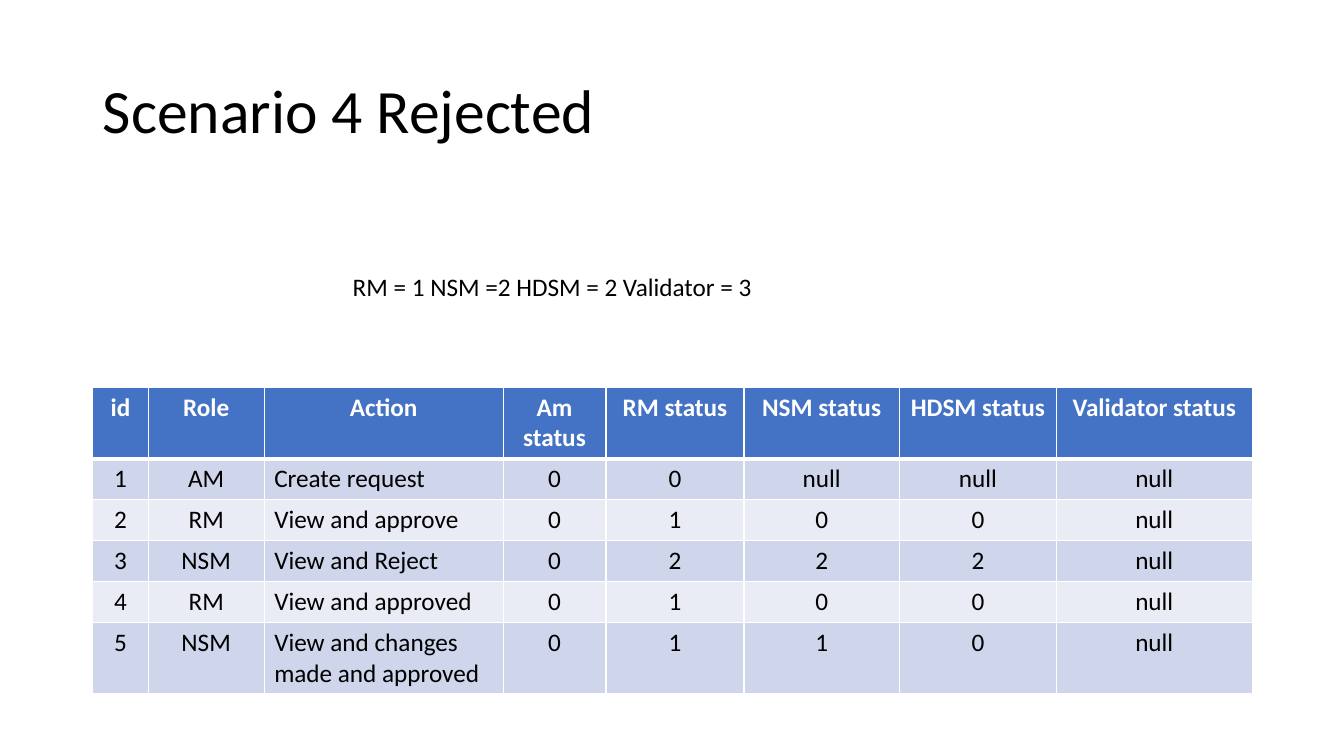
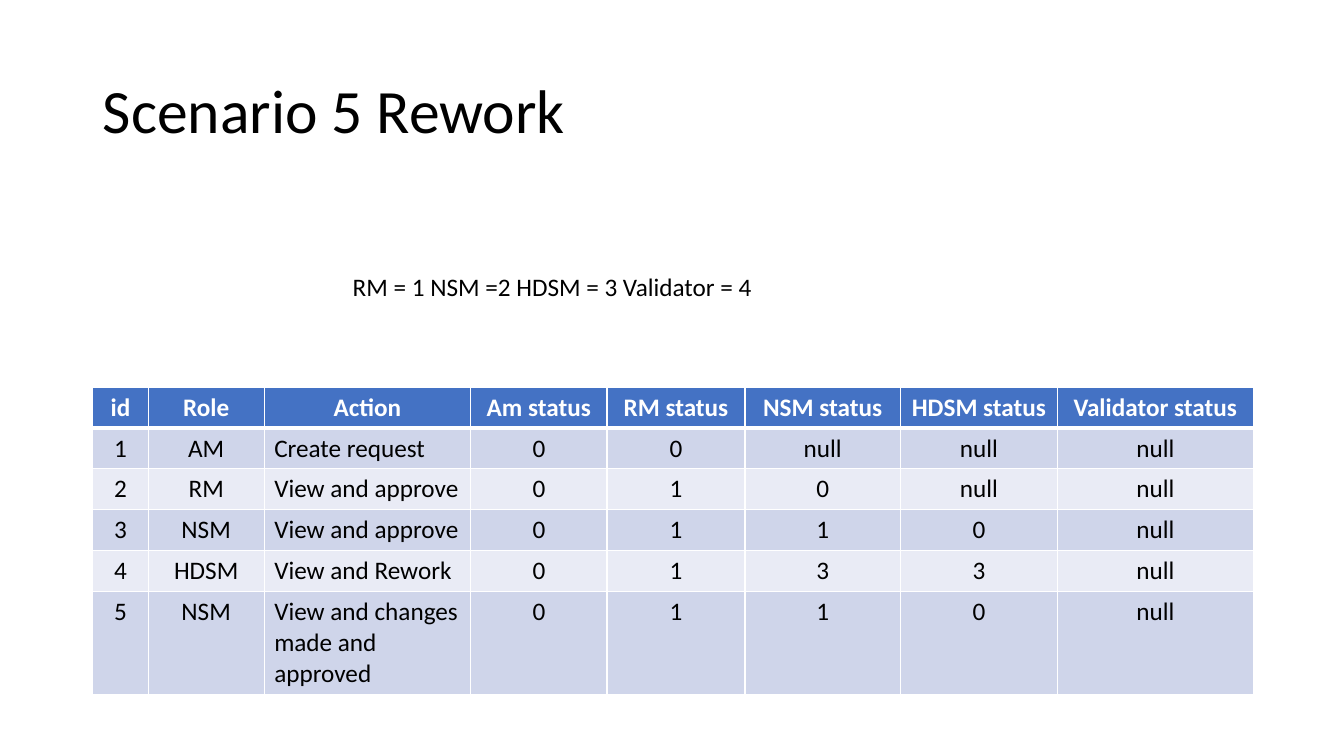
from lxml import etree
from pptx import Presentation
from pptx.dml.color import RGBColor
from pptx.enum import text
from pptx.oxml.ns import qn
from pptx.util import Inches, Pt

COLORS = {"text": "000000", "white": "FFFFFF", "header": "4472C4",
          "band_dark": "CFD5EA", "band_light": "E9EBF5"}
FONT = "Calibri"

TITLE_BOX = (0.92, 0.4, 11.5, 1.45)
LEGEND_BOX = (3.4, 2.64, 4.21, 0.4)
TABLE_BOX = (0.92, 3.84, 11.5, 3.02)
ROW_HEIGHT, EXTRA_LINE = 0.4, 0.31

HEADERS = ["id", "Role", "Action", "Am status", "RM status", "NSM status",
           "HDSM status", "Validator status"]
ACTION_COL = HEADERS.index("Action")

# "lines" is the number of text lines in each table row, header first
SCENARIOS = [
    {"title": "Scenario 4 Rejected",
     "legend": "RM = 1 NSM =2 HDSM = 2 Validator = 3",
     "widths": [0.55, 1.15, 2.37, 1.02, 1.37, 1.54, 1.56, 1.94],
     "lines": [2, 1, 1, 1, 1, 2],
     "rows": [
         ["AM", "Create request", "0", "0", "null", "null", "null"],
         ["RM", "View and approve", "0", "1", "0", "0", "null"],
         ["NSM", "View and Reject", "0", "2", "2", "2", "null"],
         ["RM", "View and approved", "0", "1", "0", "0", "null"],
         ["NSM", "View and changes made and approved",
          "0", "1", "1", "0", "null"]]},
    {"title": "Scenario 5 Rework",
     "legend": "RM = 1 NSM =2 HDSM = 3 Validator = 4",
     "widths": [0.55, 1.15, 2.05, 1.35, 1.37, 1.54, 1.56, 1.94],
     "lines": [1, 1, 1, 1, 1, 3],
     "rows": [
         ["AM", "Create request", "0", "0", "null", "null", "null"],
         ["RM", "View and approve", "0", "1", "0", "null", "null"],
         ["NSM", "View and approve", "0", "1", "1", "0", "null"],
         ["HDSM", "View and Rework", "0", "1", "3", "3", "null"],
         ["NSM", "View and changes made and approved",
          "0", "1", "1", "0", "null"]]},
]


def rgb(name):
    return RGBColor.from_string(COLORS[name])


def set_text(tf, content, size, color="text", bold=False,
             align=text.PP_ALIGN.LEFT):
    tf.text = content
    p = tf.paragraphs[0]
    p.alignment = align
    font = p.runs[0].font
    font.name, font.size, font.bold = FONT, Pt(size), bold
    font.color.rgb = rgb(color)
    return p


def set_borders(cell, bottom):
    """White cell borders of 1 pt, with the given width below."""
    tc_pr = cell._tc.get_or_add_tcPr()
    for side, width in (("L", 1), ("R", 1), ("T", 1), ("B", bottom)):
        ln = etree.SubElement(tc_pr, qn(f"a:ln{side}"), w=str(Pt(width)))
        fill = etree.SubElement(ln, qn("a:solidFill"))
        etree.SubElement(fill, qn("a:srgbClr"), val=COLORS["white"])


def add_title(slide, box, content):
    sp = slide.shapes.title
    sp.left, sp.top, sp.width, sp.height = map(Inches, box)
    tf = sp.text_frame
    tf.vertical_anchor = text.MSO_ANCHOR.MIDDLE
    set_text(tf, content, 44).line_spacing = 0.9


def add_legend(slide, box, content):
    tf = slide.shapes.add_textbox(*map(Inches, box)).text_frame
    tf.word_wrap = False
    tf.auto_size = text.MSO_AUTO_SIZE.SHAPE_TO_FIT_TEXT
    set_text(tf, content, 18)


def add_status_table(slide, box, scenario):
    rows = [HEADERS] + [[str(i), *row]
                        for i, row in enumerate(scenario["rows"], 1)]
    table = slide.shapes.add_table(len(rows), len(HEADERS),
                                   *map(Inches, box)).table
    for column, width in zip(table.columns, scenario["widths"]):
        column.width = Inches(width)
    for row, lines in zip(table.rows, scenario["lines"]):
        row.height = Inches(ROW_HEIGHT + EXTRA_LINE * (lines - 1))

    for r, values in enumerate(rows):
        header = r == 0
        band = "header" if header else "band_dark" if r % 2 else "band_light"
        for c, value in enumerate(values):
            cell = table.cell(r, c)
            left = c == ACTION_COL and not header
            set_text(cell.text_frame, value, 18,
                     "white" if header else "text", header,
                     text.PP_ALIGN.LEFT if left else text.PP_ALIGN.CENTER)
            # Borders come before the fill in the cell properties
            set_borders(cell, 3 if header else 1)
            cell.fill.solid()
            cell.fill.fore_color.rgb = rgb(band)


def add_scenario_slide(prs, scenario):
    slide = prs.slides.add_slide(prs.slide_layouts.get_by_name("Title Only"))
    add_title(slide, TITLE_BOX, scenario["title"])
    add_status_table(slide, TABLE_BOX, scenario)
    add_legend(slide, LEGEND_BOX, scenario["legend"])


def main():
    prs = Presentation()
    prs.slide_width, prs.slide_height = Inches(13.33), Inches(7.5)
    for scenario in SCENARIOS:
        add_scenario_slide(prs, scenario)
    prs.save("out.pptx")


if __name__ == "__main__":
    main()
